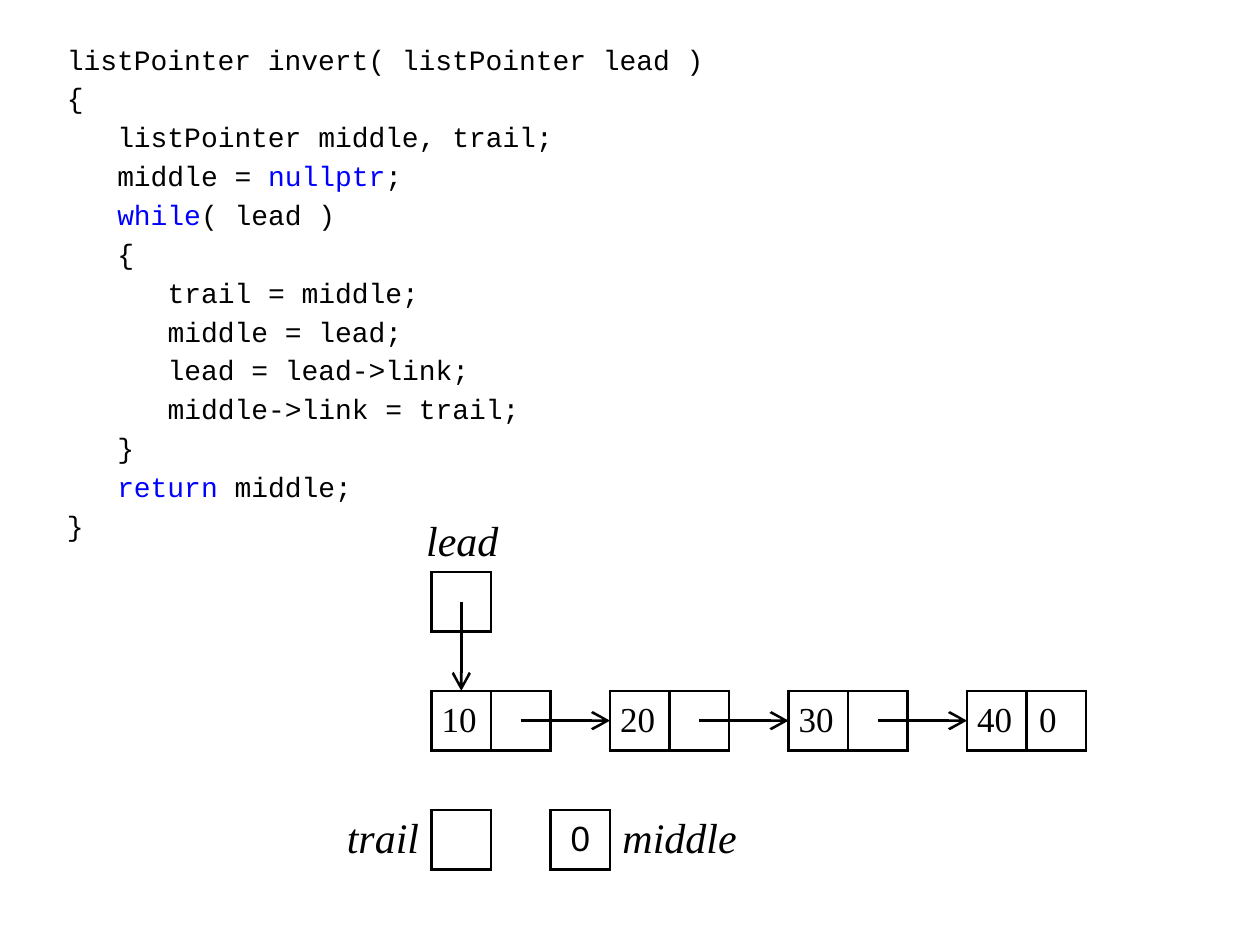
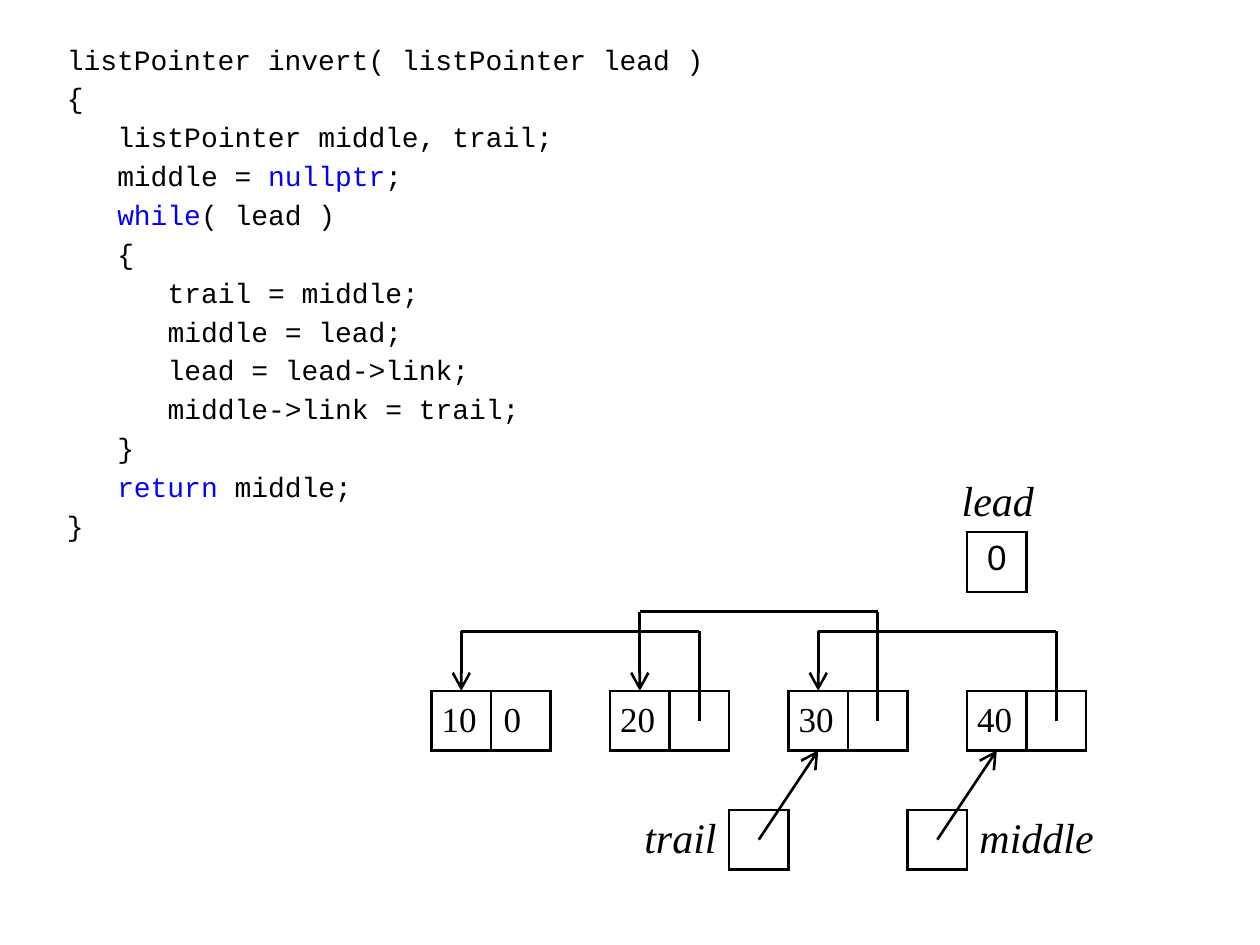
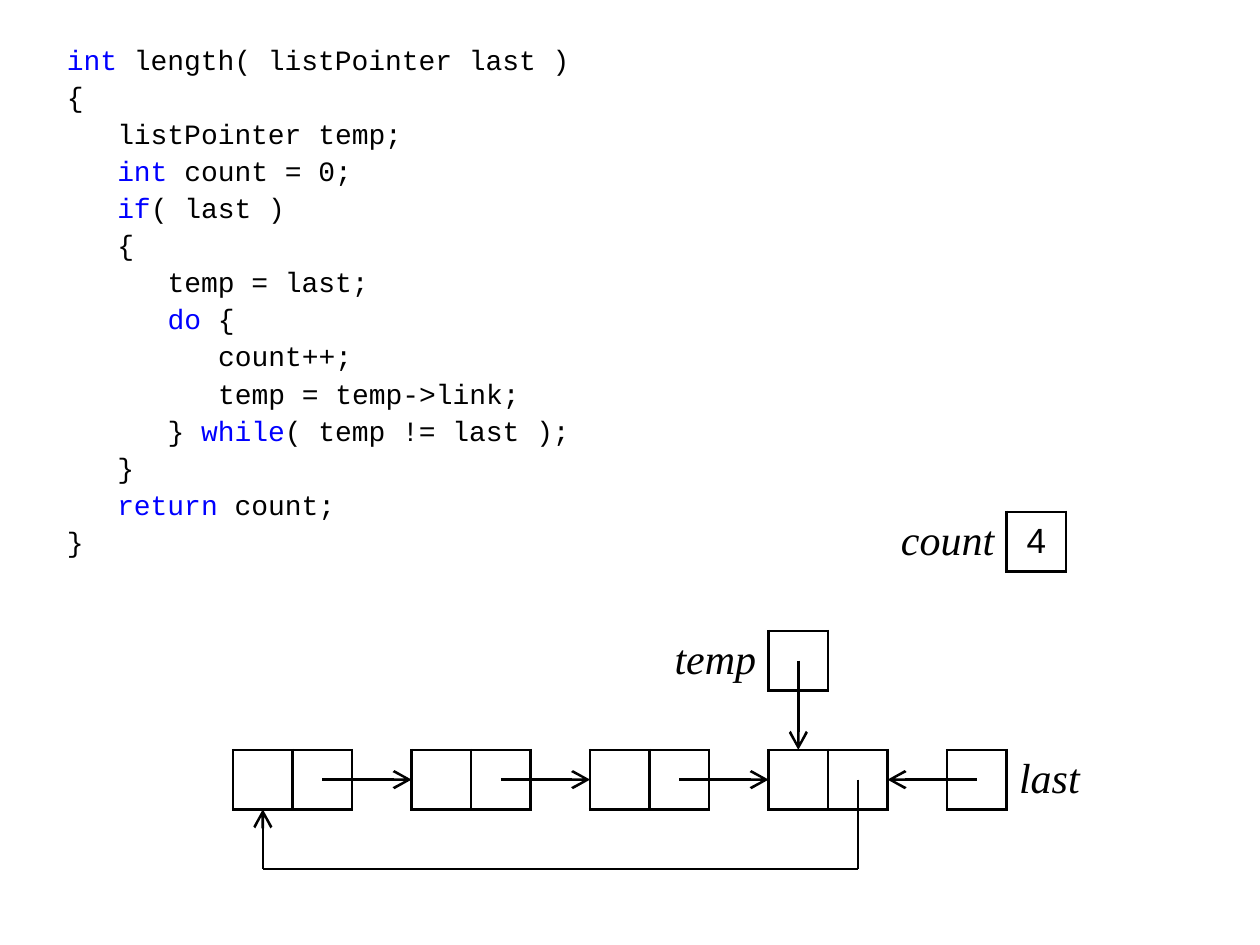
from lxml.etree import SubElement as sub
from pptx import Presentation
from pptx.dml.color import RGBColor as Rgb
from pptx.enum.shapes import MSO_CONNECTOR as Conn
from pptx.enum.text import MSO_ANCHOR as Anchor, MSO_AUTO_SIZE as Auto, PP_ALIGN as Align
from pptx.oxml.ns import qn
from pptx.util import Pt

HUES = {"ink": "000000", "key": "0000FF"}
UNIT = 34
STEP = 3
RULE = 1.5
TAB = 9.6
INVERT = """\
listPointer invert( listPointer lead )
{
   listPointer middle, trail;
   middle = |nullptr|;
   |while|( lead )
   {
      trail = middle;
      middle = lead;
      lead = lead->link;
      middle->link = trail;
   }
   |return| middle;
}"""
LENGTH = """\
|int| length( listPointer last )
{
   listPointer temp;
   |int| count = 0;
   |if|( last )
   {
      temp = last;
      |do| {
         count++;
         temp = temp->link;
      } |while|( temp != last );
   }
   |return| count;
}"""


def hue(name):
    return Rgb.from_string(HUES[name])


def style(para, face, size, align=Align.LEFT):
    para.alignment = align
    font = para.font
    font.name, font.size = face, Pt(size)
    font.color.rgb = hue("ink")


def spot(box, col, row):
    return Pt(round(box[0] + col * UNIT, 2)), Pt(round(box[1] + row * UNIT, 2))


def code(slide, box, text, gap):
    body = slide.placeholders[1]
    body.left, body.top, body.width, body.height = map(Pt, box)
    frame = body.text_frame
    frame.auto_size = Auto.NONE
    frame.vertical_anchor = Anchor.TOP
    for num, line in enumerate(text.split("\n")):
        para = frame.add_paragraph() if num else frame.paragraphs[0]
        bare = line.lstrip()
        props = para._p.get_or_add_pPr()
        props.set("marL", str(Pt((len(line) - len(bare)) * TAB)))
        props.set("indent", "0")
        sub(props, qn("a:buNone"))
        style(para, "Courier New", 16)
        para.space_before = Pt(gap)
        para.line_spacing = Pt(19.2)
        for turn, part in enumerate(bare.split("|")):
            if part:
                run = para.add_run()
                run.text = part
                if turn % 2:
                    run.font.color.rgb = hue("key")


def frame_cell(cell):
    cell.fill.background()
    props = cell._tc.get_or_add_tcPr()
    for num, side in enumerate(("lnL", "lnR", "lnT", "lnB")):
        edge = sub(props, qn("a:" + side), w=str(Pt(RULE)))
        paint = sub(edge, qn("a:solidFill"))
        sub(paint, qn("a:srgbClr"), val=HUES["ink"])
        props.insert(num, edge)


def node(slide, box, col, row, *texts, anchor=Anchor.MIDDLE):
    size = len(texts)
    shape = slide.shapes.add_table(1, size, *spot(box, col, row), Pt(size * UNIT), Pt(UNIT))
    table = shape.table
    table.first_row = table.horz_banding = False
    for num, text in enumerate(texts):
        cell = table.cell(0, num)
        frame_cell(cell)
        cell.vertical_anchor = anchor
        if size > 1 and num == 0:
            cell.margin_left = cell.margin_right = Pt(5.76)
        para = cell.text_frame.paragraphs[0]
        para.text = text
        if size > 1:
            style(para, "Times New Roman", 20)
        else:
            style(para, "Arial", 20, Align.CENTER)


def label(slide, box, edge, row, text, wide=2, align=Align.RIGHT):
    col = edge - wide if align == Align.RIGHT else edge
    area = slide.shapes.add_textbox(*spot(box, col, row), Pt(wide * UNIT), Pt(UNIT))
    frame = area.text_frame
    frame.word_wrap = False
    frame.vertical_anchor = Anchor.MIDDLE
    frame.margin_top, frame.margin_bottom = Pt(0), Pt(2.88)
    para = frame.paragraphs[0]
    para.text = text
    style(para, "Times New Roman", 24, align)
    para.font.italic = True


def route(slide, box, *stops):
    for start, end in zip(stops, stops[1:]):
        link = slide.shapes.add_connector(Conn.STRAIGHT, *spot(box, *start), *spot(box, *end))
        link.line.color.rgb = hue("ink")
        link.line.width = Pt(RULE)
        props = link._element.spPr
        sub(props, qn("a:effectLst"))
    sub(props.find(qn("a:ln")), qn("a:tailEnd"), type="arrow", w="lg", len="lg")


def chain(slide, box, pairs):
    for num, pair in enumerate(pairs):
        node(slide, box, num * STEP, 0, *pair)


def hops(slide, box):
    for col in range(0, 3 * STEP, STEP):
        route(slide, box, (col + 1.5, 0.5), (col + STEP, 0.5))


def before(slide, box):
    chain(slide, box, [("10", ""), ("20", ""), ("30", ""), ("40", "0")])
    hops(slide, box)
    label(slide, box, 4 / 3, -3, "lead")
    node(slide, box, 0, -2, "")
    route(slide, box, (0.5, -1.5), (0.5, 0))
    label(slide, box, 0, 2, "trail")
    node(slide, box, 0, 2, "")
    node(slide, box, 2, 2, "0")
    label(slide, box, 3, 2, "middle", 2.5, Align.LEFT)


def after(slide, box):
    chain(slide, box, [("10", "0"), ("20", ""), ("30", ""), ("40", "")])
    label(slide, box, 9 + 4 / 3, -11 / 3, "lead")
    node(slide, box, 9, -8 / 3, "0", anchor=Anchor.TOP)
    label(slide, box, 5, 2, "trail")
    label(slide, box, 9, 2, "middle", 2.5, Align.LEFT)
    for col in (5, 8):
        node(slide, box, col, 2, "")
        route(slide, box, (col + 0.5, 2.5), (col + 1.5, 1))
    for num, rise in enumerate((-1, -4 / 3, -1)):
        goal = num * STEP + 0.5
        tail = goal + STEP + 1
        route(slide, box, (tail, 0.5), (tail, rise), (goal, rise), (goal, 0))


def ring(slide, box):
    chain(slide, box, [("", "")] * 4)
    hops(slide, box)
    route(slide, box, (10.5, 0.5), (10.5, 2), (0.5, 2), (0.5, 1))
    node(slide, box, 12, 0, "")
    route(slide, box, (12.5, 0.5), (11, 0.5))
    label(slide, box, 13, 0, "last", align=Align.LEFT)
    node(slide, box, 9, -2, "")
    route(slide, box, (9.5, -1.5), (9.5, 0))
    label(slide, box, 9, -2, "temp")
    node(slide, box, 13, -4, "4")
    label(slide, box, 13, -4, "count", 2.5)


def main():
    deck = Presentation()
    deck.slide_width, deck.slide_height = Pt(720), Pt(540)
    plan = [
        (INVERT, 3, before, (246.6, 394.8)),
        (INVERT, 3, after, (246.6, 394.8)),
        (LENGTH, 2, ring, (133.2, 428.5)),
    ]
    for text, gap, draw, box in plan:
        slide = deck.slides.add_slide(deck.slide_layouts[1])
        title = slide.shapes.title._element
        title.getparent().remove(title)
        code(slide, (31, 20.5, 386, 294.5), text, gap)
        draw(slide, box)
    deck.save("out.pptx")


if __name__ == "__main__":
    main()
